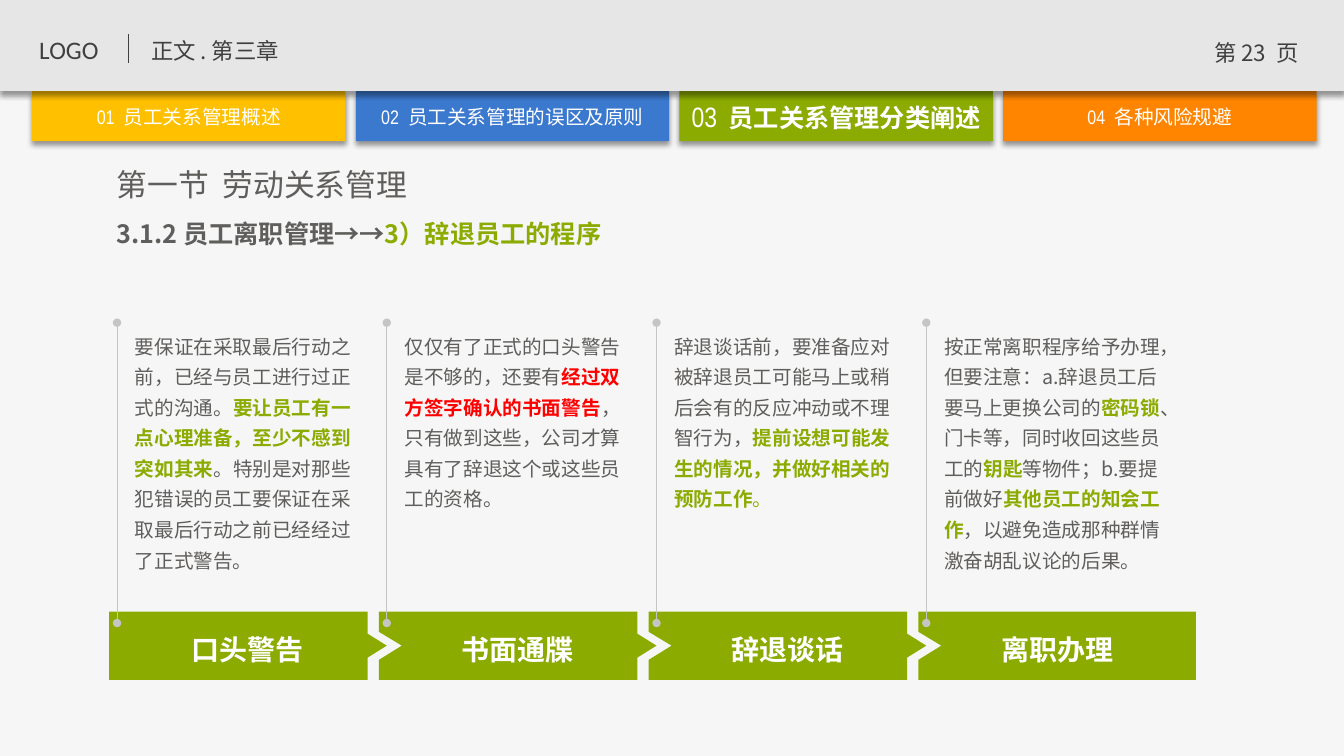
"""Build the slide on the four steps of dismissing an employee."""
from lxml import etree
from pptx import Presentation
from pptx.dml.color import RGBColor
from pptx.enum.shapes import MSO_CONNECTOR, MSO_SHAPE
from pptx.enum.text import MSO_ANCHOR, MSO_AUTO_SIZE, PP_ALIGN
from pptx.oxml import parse_xml
from pptx.oxml.ns import qn
from pptx.util import Cm, Pt

RECT = MSO_SHAPE.RECTANGLE
LINE = MSO_CONNECTOR.STRAIGHT
TOP, MIDDLE = MSO_ANCHOR.TOP, MSO_ANCHOR.MIDDLE
LEFT, CENTER = PP_ALIGN.LEFT, PP_ALIGN.CENTER
FIXED = MSO_AUTO_SIZE.NONE

SANS, THIN, LATIN = "Noto Sans CJK SC", "Arial Narrow", "Calibri"
GREEN, GREY, DARK, WHITE = "8BAB00", "5F5E5C", "404040", "FFFFFF"
KEY = {"hue": GREEN, "bold": True}
ALERT = {"hue": "FF0000", "bold": True}
FLUSH = dict.fromkeys(
    ["margin_left", "margin_top", "margin_right", "margin_bottom"], 0)
SHADOW = (
    '<a:effectLst xmlns:a="http://schemas.openxmlformats.org/drawingml/2006/main">'
    '<a:outerShdw blurRad="50800" dist="38100" dir="5400000" algn="t" rotWithShape="0">'
    '<a:srgbClr val="000000"><a:alpha val="40000"/></a:srgbClr>'
    '</a:outerShdw></a:effectLst>')


def paint(fill, hue):
    """Give a fill one solid colour."""
    fill.solid()
    fill.fore_color.rgb = RGBColor.from_string(hue)


def write(shape, parts, look, align=LEFT, space=1.0, **frame):
    """Write one paragraph of (text, changes) parts in a shape."""
    body = shape.text_frame
    base = {"word_wrap": True, "auto_size": FIXED, "vertical_anchor": TOP}
    for name, value in (base | frame).items():
        setattr(body, name, value)
    para = body.paragraphs[0]
    para.alignment, para.line_spacing = align, space
    for text, change in parts:
        run = para.add_run()
        run.text = text
        style = {"name": SANS, "bold": False, "hue": GREY} | look | change
        paint(run.font.fill, style.pop("hue"))
        style["size"] = Pt(style["size"])
        for name, value in style.items():
            setattr(run.font, name, value)
        east = etree.SubElement(run._r.get_or_add_rPr(), qn("a:ea"))
        east.set("typeface", style["name"])


deck = Presentation()
deck.slide_width, deck.slide_height = Cm(33.88), Cm(19.05)
slide = deck.slides.add_slide(deck.slide_layouts[5])
shapes = slide.shapes
paint(slide.background.fill, "F6F6F6")

TABS = [
    ("FFC000", [("01  ", {"name": THIN}), ("员工关系管理概述", {})]),
    ("3B79CE", [("02  ", {"name": THIN}), ("员工关系管理的误区及原则", {})]),
    (GREEN, [("03", {"name": THIN, "size": 20}),
             ("  ", {"name": THIN, "size": 18}),
             ("员工关系管理分类阐述", {"size": 18, "bold": True})]),
    ("FF8500", [("04  ", {"name": THIN}), ("各种风险规避", {})]),
]
bars = [(0.81 + 8.16 * i, 2.29, 7.9, 1.27, hue)
        for i, (hue, _) in enumerate(TABS)]
bars.append((0, 0, 33.88, 2.29, "E6E6E6"))
for *place, hue in bars:
    bar = shapes.add_shape(RECT, *map(Cm, place))
    paint(bar.fill, hue)
    bar.line.fill.background()
    bar._element.spPr.append(parse_xml(SHADOW))

for i, (_, parts) in enumerate(TABS):
    box = shapes.add_textbox(Cm(0.81 + 8.16 * i), Cm(2.54), Cm(7.9), Cm(0.8))
    write(box, parts, {"size": 14, "hue": WHITE}, CENTER,
          vertical_anchor=MIDDLE, **FLUSH)

HEADS = [
    ((0.74, 0.74, 2.49, 1.02), "LOGO", {"size": 18, "name": LATIN}, LEFT),
    ((3.56, 0.81, 8.3, 0.94), "正文 . 第三章", {"size": 16}, LEFT),
    ((30.15, 0.86, 3.05, 1.02), "第 23  页", {"size": 16}, CENTER),
]
for place, text, look, align in HEADS:
    box = shapes.add_textbox(*map(Cm, place))
    write(box, [(text, {})], look | {"hue": DARK}, align)

title = shapes.title
spot = {"left": 2.69, "top": 4.04, "width": 13.82, "height": 1.19}
for name, value in spot.items():
    setattr(title, name, Cm(value))
write(title, [("第一节  劳动关系管理", {})], {"size": 22})

topic = shapes.add_textbox(Cm(2.69), Cm(5.16), Cm(14.66), Cm(1.24))
write(topic, [("3.1.2 员工离职管理→→", {}), ("3）辞退员工的程序", {"hue": GREEN})],
      {"size": 18, "bold": True}, space=1.3)

STEPS = [
    ("口头警告", [
        ("要保证在采取最后行动之前，已经与员工进行过正式的沟通。", {}),
        ("要让员工有一点心理准备，至少不感到突如其来", KEY),
        ("。特别是对那些犯错误的员工要保证在采取最后行动之前已经经过了正式警告。", {})]),
    ("书面通牒", [
        ("仅仅有了正式的口头警告是不够的，还要有", {}),
        ("经过双方签字确认的书面警告", ALERT),
        ("，只有做到这些，公司才算具有了辞退这个或这些员工的资格。", {})]),
    ("辞退谈话", [
        ("辞退谈话前，要准备应对被辞退员工可能马上或稍后会有的反应冲动或不理智行为，", {}),
        ("提前设想可能发生的情况，并做好相关的预防工作", KEY),
        ("。", {"hue": GREEN})]),
    ("离职办理", [
        ("按正常离职程序给予办理，但要注意：a.辞退员工后要马上更换公司的", {}),
        ("密码锁", KEY),
        ("、门卡等，同时收回这些员工的", {}),
        ("钥匙", KEY),
        ("等物件；b.要提前做好", {}),
        ("其他员工的知会工作", KEY),
        ("，以避免造成那种群情激奋胡乱议论的后果。", {})]),
]
TIP = [(6.52, 15.41), (6.52, 15.97), (7, 16.27), (6.52, 16.57), (6.52, 17.13)]
FLAT = [(7, 15.41), (7, 17.13)]
NOTCH = [(0, 16.63), (0.58, 16.27), (0, 15.92)]
stems = [(3.23, 0.86, 1.6, DARK, False)]
for i, (label, parts) in enumerate(STEPS):
    left = 2.75 + 6.8 * i
    edge = FLAT if i == len(STEPS) - 1 else TIP
    points = edge + [(0, 17.13)] + (NOTCH if i else [])
    pen = shapes.build_freeform(Cm(left), Cm(15.41))
    pen.add_line_segments([(Cm(left + x), Cm(y)) for x, y in points])
    block = pen.convert_to_shape()
    block.shadow.inherit = False
    paint(block.fill, GREEN)
    block.line.fill.background()
    write(block, [(label, {})], {"size": 20, "bold": True, "hue": WHITE},
          CENTER, 1.2, vertical_anchor=MIDDLE)

    note = shapes.add_textbox(Cm(left + 0.4), Cm(8.13), Cm(6.05), Cm(6.48))
    write(note, parts, {"size": 14}, space=1.3)
    stems.append((left + 0.2, 8.13, 15.7, "C5C5C5", True))

for x, top, end, hue, dots in stems:
    stem = shapes.add_connector(LINE, Cm(x), Cm(top), Cm(x), Cm(end))
    paint(stem.line.fill, hue)
    stem.line.width = Pt(0.75)
    for tag in ("a:headEnd", "a:tailEnd") if dots else ():
        etree.SubElement(stem.line._get_or_add_ln(), qn(tag)).set("type", "oval")
    etree.SubElement(stem._element.spPr, qn("a:effectLst"))

deck.save("out.pptx")
